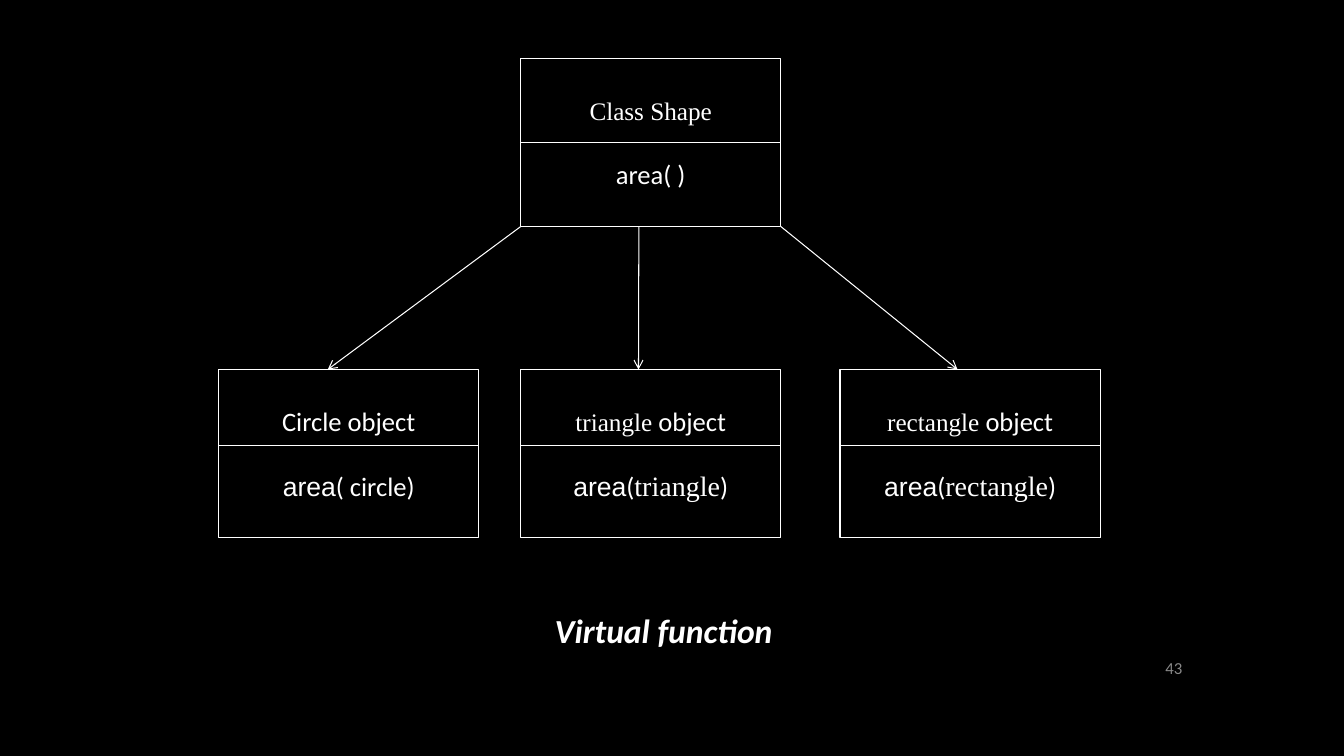
import pptx
import pptx.util
import pptx.dml.color
import pptx.enum.shapes
import pptx.enum.text
import pptx.oxml.ns
from lxml import etree

Cm, Pt = pptx.util.Cm, pptx.util.Pt
ALIGN = pptx.enum.text.PP_ALIGN
ANCHOR = pptx.enum.text.MSO_ANCHOR

# Content: runs are (text, font, size in points)
SANS, SERIF, ARIAL = "Calibri", "Times New Roman", "Arial"
CAPTION = "Virtual function"
PAGE_NUMBER = "43"
BASE_CLASS = ([("Class Shape", SERIF, 18)], [("area( )", SANS, 19)])
DERIVED = [
    ([("Circle object", SANS, 19)],
     [("area", ARIAL, 19), ("( circle)", SANS, 19)]),
]
for kind in ("triangle", "rectangle"):
    DERIVED.append((
        [(kind, SERIF, 18), (" object", SANS, 19)],
        [("area", ARIAL, 19), ("(", SANS, 19), (kind, SERIF, 20), (")", SANS, 19)]))

# Layout in centimetres
BOX_W, BOX_H = 6.56, 4.23
BASE_LEFT, BASE_TOP = 13.12, 1.48
DERIVED_LEFTS, DERIVED_TOP = (5.51, BASE_LEFT, 21.17), 9.31
DERIVED_DIVIDER = 1.91
ARROW_STARTS = (BASE_LEFT, 16.1, BASE_LEFT + BOX_W)
ARROW_ENDS = (8.26, 16.09, 24.13)

WHITE, BLACK, GREY = "FFFFFF", "000000", "898989"


def paint(color_format, hex_color):
    color_format.rgb = pptx.dml.color.RGBColor.from_string(hex_color)


def add_run(paragraph, text, font, size, color=WHITE):
    run = paragraph.add_run()
    run.text = text
    run.font.name, run.font.size = font, Pt(size)
    paint(run.font.color, color)
    return run


def add_line(x1, y1, x2, y2, arrow=False):
    line = slide.shapes.add_connector(
        pptx.enum.shapes.MSO_CONNECTOR.STRAIGHT, Cm(x1), Cm(y1), Cm(x2), Cm(y2))
    line.line.width = Pt(0.75)
    paint(line.line.color, WHITE)
    properties = line._element.spPr
    if arrow:
        etree.SubElement(properties.find(pptx.oxml.ns.qn("a:ln")),
                         pptx.oxml.ns.qn("a:tailEnd"), type="arrow")
    etree.SubElement(properties, pptx.oxml.ns.qn("a:effectLst"))
    return line


def add_class_box(left, top, divider_offset, lines):
    box = slide.shapes.add_shape(pptx.enum.shapes.MSO_SHAPE.RECTANGLE,
                                 Cm(left), Cm(top), Cm(BOX_W), Cm(BOX_H))
    box.shadow.inherit = False
    box.fill.background()
    box.line.width = Pt(0.75)
    paint(box.line.color, WHITE)
    frame = box.text_frame
    frame.word_wrap = False
    frame.vertical_anchor = ANCHOR.MIDDLE
    for number, runs in enumerate(lines):
        paragraph = frame.add_paragraph() if number else frame.paragraphs[0]
        paragraph.alignment = ALIGN.CENTER
        if number:
            paragraph.space_before = Pt(23)
        for run in runs:
            add_run(paragraph, *run)
    divider_y = top + divider_offset
    return box, add_line(left, divider_y, left + BOX_W, divider_y)


presentation = pptx.Presentation()
presentation.slide_width, presentation.slide_height = Cm(33.87), Cm(19.05)
slide = presentation.slides.add_slide(presentation.slide_layouts[5])
slide.background.fill.solid()
paint(slide.background.fill.fore_color, BLACK)

# Class boxes; the base class is divided at its middle
base_box, base_divider = add_class_box(BASE_LEFT, BASE_TOP, BOX_H / 2, BASE_CLASS)
base_divider.begin_connect(base_box, 1)
base_divider.end_connect(base_box, 3)
for left, lines in zip(DERIVED_LEFTS, DERIVED):
    add_class_box(left, DERIVED_TOP, DERIVED_DIVIDER, lines)

# Arrows from the base class to each object
for start, end in zip(ARROW_STARTS, ARROW_ENDS):
    add_line(start, BASE_TOP + BOX_H, end, DERIVED_TOP, arrow=True)

# Caption
caption = slide.shapes.title
caption.left, caption.top = Cm(9.74), Cm(15.24)
caption.width, caption.height = Cm(13.97), Cm(1.3)
caption.text_frame.vertical_anchor = ANCHOR.TOP
caption_line = caption.text_frame.paragraphs[0]
caption_line.alignment = ALIGN.CENTER
caption_run = add_run(caption_line, CAPTION, SANS, 24)
caption_run.font.bold = caption_run.font.italic = True

# Page number
page = slide.shapes.add_textbox(Cm(28.53), Cm(16.3), Cm(1.52), Cm(1.04))
page.text_frame.word_wrap = True
page.text_frame.vertical_anchor = ANCHOR.MIDDLE
page_line = page.text_frame.paragraphs[0]
page_line.alignment = ALIGN.RIGHT
add_run(page_line, PAGE_NUMBER, SANS, 12, GREY)

presentation.save("out.pptx")
